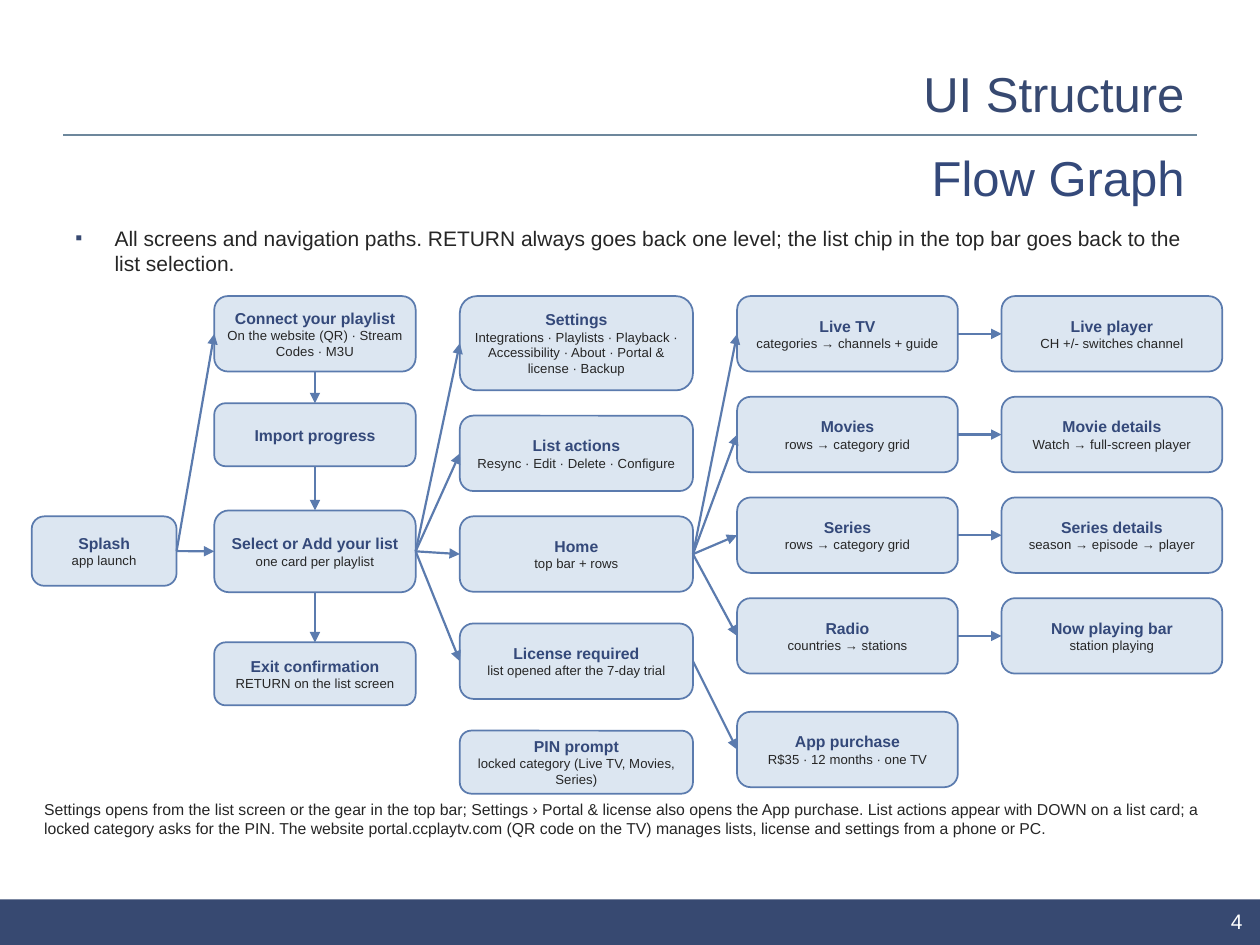
from lxml.etree import SubElement
from pptx import Presentation
from pptx.dml.color import RGBColor
from pptx.enum.shapes import MSO_CONNECTOR, MSO_SHAPE
from pptx.enum.text import MSO_ANCHOR, MSO_AUTO_SIZE, PP_ALIGN
from pptx.oxml.ns import qn
from pptx.util import Cm, Pt

NAVY, INK, BAR, EDGE, FILL = "34497A", "262626", "374971", "5B7BAE", "DCE6F1"
rgb = RGBColor.from_string


def write(p, text, size, color, align=PP_ALIGN.LEFT, bold=False):
    p.alignment = align
    r = p.add_run()
    r.text = text
    r.font.name = "Arial"
    r.font.size = Pt(size)
    r.font.bold = bold
    r.font.color.rgb = rgb(color)


def add_text(s, box, text, size, color, align=PP_ALIGN.LEFT, anchor=MSO_ANCHOR.TOP):
    tf = s.shapes.add_textbox(*[Cm(v) for v in box]).text_frame
    tf.word_wrap = True
    tf.auto_size = MSO_AUTO_SIZE.NONE
    tf.vertical_anchor = anchor
    write(tf.paragraphs[0], text, size, color, align)
    return tf.paragraphs[0]


prs = Presentation()
prs.slide_width, prs.slide_height = Cm(25.4), Cm(19.05)
s = prs.slides.add_slide(prs.slide_layouts[5])

bar = s.shapes.add_shape(MSO_SHAPE.RECTANGLE, 0, Cm(18.13), Cm(25.4), Cm(0.92))
bar.shadow.inherit = False
bar.fill.solid()
bar.fill.fore_color.rgb = rgb(BAR)
bar.line.fill.background()

rule = s.shapes.add_connector(MSO_CONNECTOR.STRAIGHT, Cm(1.27), Cm(2.72), Cm(24.13), Cm(2.72))
rule.line.color.rgb = rgb("6D879C")
rule.line.width = Pt(1)
SubElement(rule._element.spPr, qn("a:effectLst"))

title = s.shapes.title
title.left, title.top, title.width, title.height = Cm(5.89), Cm(1.02), Cm(18.24), Cm(1.7)
title.text_frame.vertical_anchor = MSO_ANCHOR.MIDDLE
write(title.text_frame.paragraphs[0], "UI Structure", 28, BAR, PP_ALIGN.RIGHT)

add_text(s, (19.58, 18.31, 5.72, 0.53), "4", 12, "FFFFFF", PP_ALIGN.RIGHT, MSO_ANCHOR.MIDDLE)
add_text(s, (5.89, 2.72, 18.24, 1.7), "Flow Graph", 28, NAVY, PP_ALIGN.RIGHT, MSO_ANCHOR.MIDDLE)
p = add_text(s, (1.27, 4.42, 22.86, 1.78),
             "All screens and navigation paths. RETURN always goes back one level; "
             "the list chip in the top bar goes back to the list selection.", 12, INK)
p.space_after = Pt(6)
pPr = p._p.get_or_add_pPr()
pPr.set("marL", str(Cm(0.79)))
pPr.set("indent", str(-Cm(0.79)))
SubElement(SubElement(pPr, qn("a:buClr")), qn("a:srgbClr")).set("val", BAR)
SubElement(pPr, qn("a:buSzPct")).set("val", "95000")
SubElement(pPr, qn("a:buFont")).set("typeface", "Arial")
SubElement(pPr, qn("a:buChar")).set("char", "▪")

row_tops = [5.97 + 2.03 * i for i in range(4)]
columns = [
    (0.64, 2.92, [(10.41, 1.4, "Splash", "app launch")]),
    (4.32, 4.06, [
        (5.97, 1.52, "Connect your playlist", "On the website (QR) · Stream Codes · M3U"),
        (8.13, 1.27, "Import progress", ""),
        (10.29, 1.65, "Select or Add your list", "one card per playlist"),
        (12.95, 1.27, "Exit confirmation", "RETURN on the list screen"),
    ]),
    (9.27, 4.7, [
        (5.97, 1.9, "Settings",
         "Integrations · Playlists · Playback · Accessibility · About · Portal & license · Backup"),
        (8.38, 1.52, "List actions", "Resync · Edit · Delete · Configure"),
        (10.41, 1.52, "Home", "top bar + rows"),
        (12.57, 1.52, "License required", "list opened after the 7-day trial"),
        (14.73, 1.27, "PIN prompt", "locked category (Live TV, Movies, Series)"),
    ]),
    (14.86, 4.45, [
        (row_tops[0], 1.52, "Live TV", "categories → channels + guide"),
        (row_tops[1], 1.52, "Movies", "rows → category grid"),
        (row_tops[2], 1.52, "Series", "rows → category grid"),
        (row_tops[3], 1.52, "Radio", "countries → stations"),
        (14.35, 1.52, "App purchase", "R$35 · 12 months · one TV"),
    ]),
    (20.19, 4.45, [
        (row_tops[0], 1.52, "Live player", "CH +/- switches channel"),
        (row_tops[1], 1.52, "Movie details", "Watch → full-screen player"),
        (row_tops[2], 1.52, "Series details", "season → episode → player"),
        (row_tops[3], 1.52, "Now playing bar", "station playing"),
    ]),
]
screens = {}
for left, width, cards in columns:
    for top, height, name, detail in cards:
        sp = s.shapes.add_shape(MSO_SHAPE.ROUNDED_RECTANGLE, Cm(left), Cm(top), Cm(width), Cm(height))
        sp.adjustments[0] = 0.18
        sp.shadow.inherit = False
        sp.fill.solid()
        sp.fill.fore_color.rgb = rgb(FILL)
        sp.line.color.rgb = rgb(EDGE)
        sp.line.width = Pt(1)
        tf = sp.text_frame
        tf.word_wrap = True
        tf.vertical_anchor = MSO_ANCHOR.MIDDLE
        tf.margin_left = tf.margin_right = Cm(0.1)
        tf.margin_top = tf.margin_bottom = Cm(0.05)
        write(tf.paragraphs[0], name, 9, NAVY, PP_ALIGN.CENTER, True)
        if detail:
            write(tf.add_paragraph(), detail, 7.5, INK, PP_ALIGN.CENTER)
        screens[name] = sp

TOP, LEFT, BOTTOM, RIGHT = range(4)
across = {
    "Splash": ["Select or Add your list", "Connect your playlist"],
    "Select or Add your list": ["Settings", "List actions", "Home", "License required"],
    "Home": ["Live TV", "Movies", "Series", "Radio"],
    "Live TV": ["Live player"],
    "Movies": ["Movie details"],
    "Series": ["Series details"],
    "Radio": ["Now playing bar"],
    "License required": ["App purchase"],
}
setup = ["Connect your playlist", "Import progress", "Select or Add your list", "Exit confirmation"]
links = [(a, RIGHT, b, LEFT) for a, targets in across.items() for b in targets]
links += [(a, BOTTOM, b, TOP) for a, b in zip(setup, setup[1:])]
for source, exit_side, target, entry_side in links:
    arrow = s.shapes.add_connector(MSO_CONNECTOR.STRAIGHT, 0, 0, 0, 0)
    arrow.begin_connect(screens[source], exit_side)
    arrow.end_connect(screens[target], entry_side)
    arrow.line.color.rgb = rgb(EDGE)
    arrow.line.width = Pt(1.25)
    SubElement(arrow.line._get_or_add_ln(), qn("a:tailEnd")).set("type", "triangle")
    SubElement(arrow._element.spPr, qn("a:effectLst"))

add_text(s, (0.64, 16, 23.88, 1.52),
         "Settings opens from the list screen or the gear in the top bar; Settings › Portal & license "
         "also opens the App purchase. List actions appear with DOWN on a list card; a locked category "
         "asks for the PIN. The website portal.ccplaytv.com (QR code on the TV) manages lists, license "
         "and settings from a phone or PC.", 9, INK)

prs.save("out.pptx")
